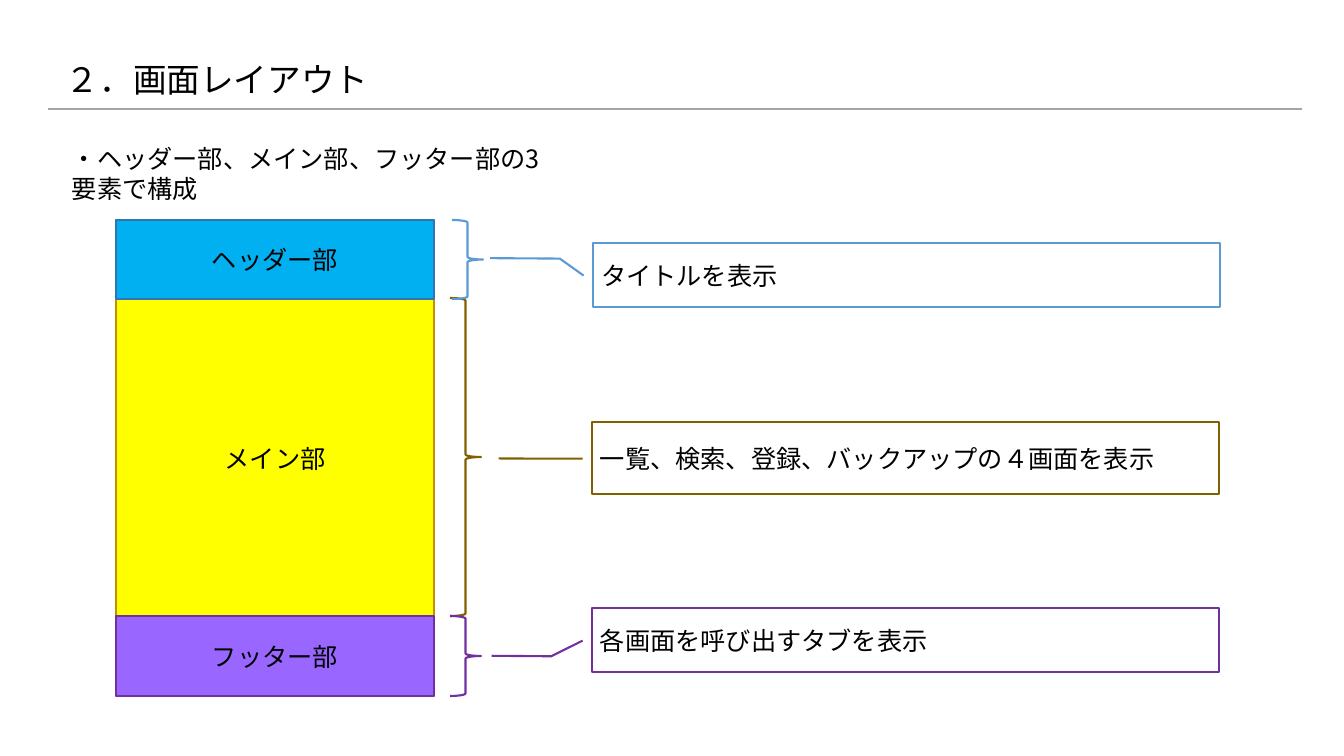
from dataclasses import dataclass

from lxml.etree import SubElement
from pptx import Presentation
from pptx.dml.color import RGBColor
from pptx.enum.lang import MSO_LANGUAGE_ID as Language
from pptx.enum.shapes import MSO_CONNECTOR as Connector, MSO_SHAPE as Preset
from pptx.enum.text import MSO_ANCHOR as Anchor, MSO_AUTO_SIZE as AutoSize, PP_ALIGN as Align
from pptx.oxml.ns import qn
from pptx.util import Emu, Pt

PIXEL = 914400 / 100.8
FONT = "Noto Sans CJK JP"
COLORS = {
    "black": "000000", "white": "FFFFFF", "rule": "A5A5A5",
    "yellow": "FFFF00", "gold": "BF9000", "brown": "806000",
    "lilac": "9966FF", "purple": "7030A0",
    "cyan": "00B0F0", "blue": "2E75B6", "sky": "5B9BD5",
}


@dataclass(frozen=True)
class Box:
    left: int
    top: int
    width: int
    height: int

    def emu(self) -> list[Emu]:
        return [px(value) for value in (self.left, self.top, self.width, self.height)]


@dataclass(frozen=True)
class Section:
    name: str
    block: Box
    fill: str
    border: str
    brace: Box
    accent: str
    callout: Box
    description: str
    pointer: tuple[float, ...]


SECTIONS = [
    Section("メイン部", Box(116, 220, 318, 476), "yellow", "gold",
            Box(450, 298, 31, 318), "brown", Box(592, 422, 627, 72),
            "一覧、検索、登録、バックアップの４画面を表示",
            (0.51, -0.015, 0.51, -0.065, 0.507, -0.149)),
    Section("フッター部", Box(116, 616, 318, 80), "lilac", "purple",
            Box(450, 616, 31, 80), "purple", Box(592, 608, 627, 64),
            "各画面を呼び出すタブを表示",
            (0.51, -0.015, 0.754, -0.065, 0.747, -0.16)),
    Section("ヘッダー部", Box(116, 220, 318, 79), "cyan", "blue",
            Box(452, 220, 31, 79), "sky", Box(593, 243, 627, 64),
            "タイトルを表示",
            (0.51, -0.015, 0.244, -0.053, 0.237, -0.164)),
]


def px(value: int) -> Emu:
    return Emu(round(value * PIXEL))


def color(name: str) -> RGBColor:
    return RGBColor.from_string(COLORS[name])


def write(shape, text: str, *, size: int = 18, align=Align.LEFT, anchor=Anchor.MIDDLE,
          side: int = 5, spacing: float = 1.0) -> None:
    frame = shape.text_frame
    frame.word_wrap = True
    frame.auto_size = AutoSize.NONE
    frame.vertical_anchor = anchor
    frame.margin_left = frame.margin_right = px(side)
    frame.margin_top = frame.margin_bottom = px(5)
    paragraph = frame.paragraphs[0]
    paragraph.alignment = align
    paragraph.line_spacing = spacing
    run = paragraph.add_run()
    run.text = text
    run.font.size = Pt(size)
    run.font.name = FONT
    run.font.color.rgb = color("black")
    run.font.language_id = Language.JAPANESE
    SubElement(run._r.get_or_add_rPr(), qn("a:ea"), typeface=FONT)


def add_preset(slide, preset, box: Box, line: str, *, fill: str | None = None,
               weight: float = 1.5):
    shape = slide.shapes.add_shape(preset, *box.emu())
    shape.shadow.inherit = False
    if fill:
        shape.fill.solid()
        shape.fill.fore_color.rgb = color(fill)
    else:
        shape.fill.background()
    shape.line.color.rgb = color(line)
    shape.line.width = Pt(weight)
    return shape


def add_block(slide, section: Section) -> None:
    block = add_preset(slide, Preset.RECTANGLE, section.block, section.border,
                       fill=section.fill, weight=2)
    write(block, section.name, align=Align.CENTER)


def add_explanation(slide, section: Section) -> None:
    brace = add_preset(slide, Preset.LEFT_BRACE, section.brace, section.accent)
    brace.rotation = 180
    callout = add_preset(slide, Preset.LINE_CALLOUT_2, section.callout, section.accent,
                         fill="white")
    for index, value in enumerate(section.pointer):
        callout.adjustments[index] = value
    write(callout, section.description, side=8)


def add_rule(slide) -> None:
    rule = slide.shapes.add_connector(Connector.STRAIGHT, px(48), px(109), px(1302), px(109))
    rule.line.color.rgb = color("rule")
    rule.line.width = Pt(1.5)
    SubElement(rule._element.spPr, qn("a:effectLst"))


def main() -> None:
    presentation = Presentation()
    presentation.slide_width, presentation.slide_height = px(1344), px(756)
    slide = presentation.slides.add_slide(presentation.slide_layouts[5])
    add_rule(slide)
    title = slide.shapes.title
    title.left, title.top, title.width, title.height = Box(61, 31, 1079, 101).emu()
    write(title, "２．画面レイアウト", size=24, spacing=0.9)
    for section in SECTIONS:
        add_block(slide, section)
    summary = slide.shapes.add_textbox(*Box(67, 138, 493, 40).emu())
    write(summary, "・ヘッダー部、メイン部、フッター部の3要素で構成", anchor=Anchor.TOP)
    for section in SECTIONS:
        add_explanation(slide, section)
    presentation.save("out.pptx")


main()
